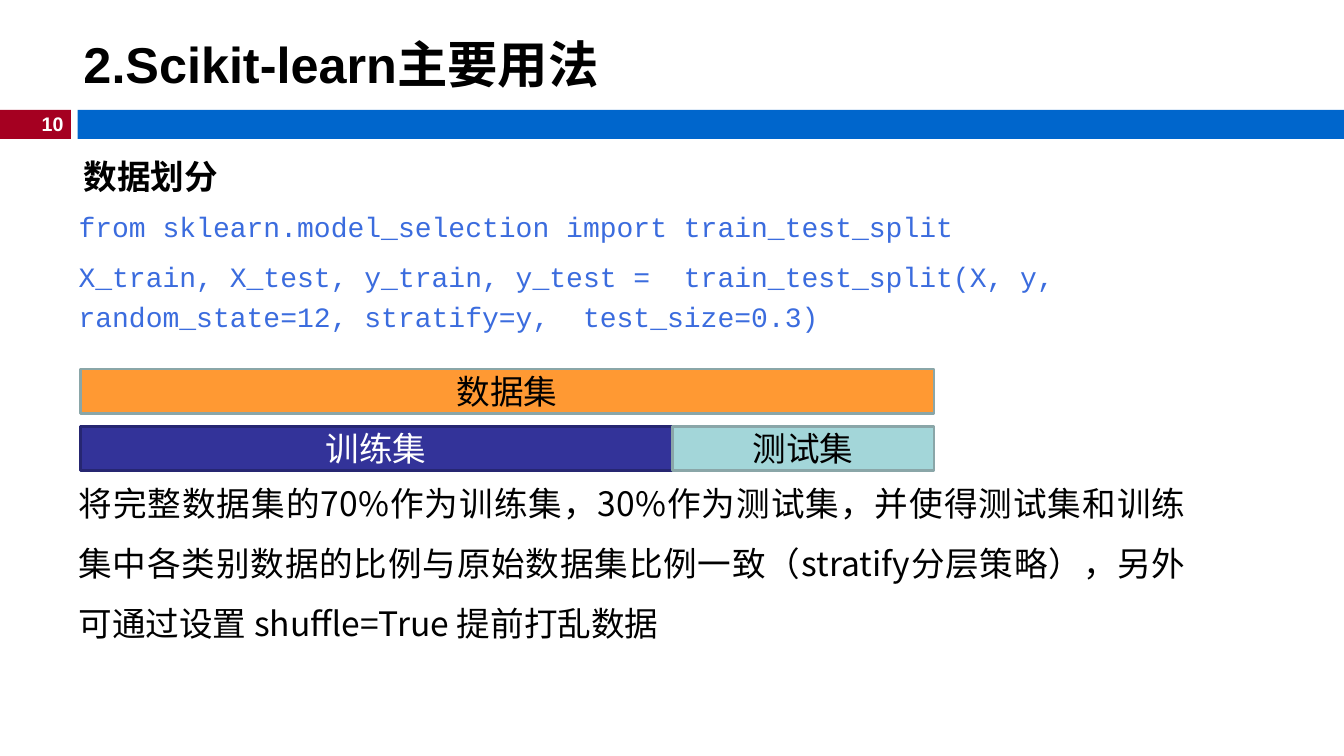
from dataclasses import dataclass

from lxml.etree import SubElement
from pptx import Presentation
from pptx.dml.color import RGBColor
from pptx.enum.shapes import MSO_SHAPE
from pptx.enum.text import MSO_ANCHOR, PP_ALIGN
from pptx.oxml.ns import qn
from pptx.slide import Slide
from pptx.text.text import TextFrame
from pptx.util import Cm, Pt

BLACK = RGBColor(0x00, 0x00, 0x00)
WHITE = RGBColor(0xFF, 0xFF, 0xFF)
RED = RGBColor(0xA5, 0x00, 0x21)
BLUE = RGBColor(0x00, 0x66, 0xCC)
CODE_BLUE = RGBColor(0x3B, 0x6C, 0xDE)
NAVY = RGBColor(0x33, 0x33, 0x99)
DARK_NAVY = RGBColor(0x26, 0x26, 0x71)
TEAL = RGBColor(0xA3, 0xD6, 0xD9)
GREY_TEAL = RGBColor(0x8A, 0xA6, 0xA8)
ORANGE = RGBColor(0xFF, 0x99, 0x33)

SANS = "Noto Sans CJK SC"
HEADING_SANS = "Noto Sans CJK TC"


@dataclass
class Area:
    left: float
    top: float
    width: float
    height: float

    def lengths(self) -> tuple[Cm, Cm, Cm, Cm]:
        return Cm(self.left), Cm(self.top), Cm(self.width), Cm(self.height)


@dataclass
class Style:
    size: float
    font: str = SANS
    color: RGBColor = BLACK
    bold: bool = False
    align: PP_ALIGN = PP_ALIGN.LEFT
    line_spacing: Pt | None = None
    space_before: Pt | None = None


@dataclass
class Bar:
    area: Area
    fill: RGBColor
    line: RGBColor | None = None
    label: str = ""
    label_color: RGBColor = BLACK


@dataclass
class TextBlock:
    area: Area
    text: str
    style: Style


BAR_LEFT, BAR_HEIGHT = 2.02, 1.12
DATA_TOP, SPLIT_TOP = 9.3, 10.74
TRAIN_WIDTH, TEST_WIDTH = 14.92, 6.6

BARS = [
    Bar(Area(0, 2.77, 1.79, 0.73), RED),
    Bar(Area(1.96, 2.77, 31.91, 0.73), BLUE),
    Bar(Area(BAR_LEFT, SPLIT_TOP, TRAIN_WIDTH, BAR_HEIGHT), NAVY, DARK_NAVY, "训练集", WHITE),
    Bar(Area(BAR_LEFT + TRAIN_WIDTH, SPLIT_TOP, TEST_WIDTH, BAR_HEIGHT), TEAL, GREY_TEAL, "测试集"),
    Bar(Area(BAR_LEFT, DATA_TOP, TRAIN_WIDTH + TEST_WIDTH, BAR_HEIGHT), ORANGE, GREY_TEAL, "数据集"),
]

TEXT_BLOCKS = [
    TextBlock(Area(0.74, 2.82, 0.86, 0.62), "10",
              Style(14, "Arial", WHITE, True, PP_ALIGN.RIGHT)),
    TextBlock(Area(0.61, 3.94, 6.38, 1.3), "数据划分",
              Style(24, HEADING_SANS, bold=True, align=PP_ALIGN.CENTER)),
    TextBlock(Area(1.98, 5.13, 27.9, 3.6),
              "from sklearn.model_selection import train_test_split\n"
              "X_train, X_test, y_train, y_test =  train_test_split(X, y, "
              "random_state=12, stratify=y,  test_size=0.3)",
              Style(20, "Courier New", CODE_BLUE, line_spacing=Pt(28.6), space_before=Pt(6.9))),
    TextBlock(Area(1.98, 11.66, 27.9, 4.6),
              "将完整数据集的70%作为训练集，30%作为测试集，并使得测试集和训练集中各类别数据的比例"
              "与原始数据集比例一致（stratify分层策略），另外可通过设置 shuffle=True 提前打乱数据",
              Style(24, align=PP_ALIGN.JUSTIFY, line_spacing=Pt(43))),
]


def write_text(frame: TextFrame, text: str, style: Style) -> None:
    frame.text = text
    frame.word_wrap = True
    for para in frame.paragraphs:
        para.alignment = style.align
        para.line_spacing = style.line_spacing
        para.space_before = style.space_before
        for span in para.runs:
            span.font.size = Pt(style.size)
            span.font.bold = style.bold
            span.font.color.rgb = style.color
            span.font.name = style.font
            east_asian = style.font if style.font.startswith("Noto") else SANS
            SubElement(span.font._element, qn("a:ea"), typeface=east_asian)


def add_bar(page: Slide, bar: Bar) -> None:
    shape = page.shapes.add_shape(MSO_SHAPE.RECTANGLE, *bar.area.lengths())
    shape.shadow.inherit = False
    shape.fill.solid()
    shape.fill.fore_color.rgb = bar.fill
    if bar.line is None:
        shape.line.fill.background()
    else:
        shape.line.color.rgb = bar.line
        shape.line.width = Pt(2)
    if bar.label:
        frame = shape.text_frame
        frame.margin_top = frame.margin_bottom = 0
        frame.vertical_anchor = MSO_ANCHOR.MIDDLE
        write_text(frame, bar.label, Style(24, color=bar.label_color, align=PP_ALIGN.CENTER))


def add_text_block(page: Slide, block: TextBlock) -> None:
    box = page.shapes.add_textbox(*block.area.lengths())
    frame = box.text_frame
    frame.margin_left = frame.margin_right = frame.margin_top = frame.margin_bottom = 0
    write_text(frame, block.text, block.style)


def set_title(page: Slide, text: str) -> None:
    title = page.shapes.title
    title.left, title.top, title.width, title.height = Area(1.85, 0.66, 32, 1.88).lengths()
    title.text_frame.vertical_anchor = MSO_ANCHOR.MIDDLE
    write_text(title.text_frame, text, Style(36, "Arial", bold=True))


def main() -> None:
    deck = Presentation()
    deck.slide_width, deck.slide_height = Cm(33.87), Cm(19.05)
    page = deck.slides.add_slide(deck.slide_layouts[5])
    set_title(page, "2.Scikit-learn主要用法")
    for bar in BARS:
        add_bar(page, bar)
    for block in TEXT_BLOCKS:
        add_text_block(page, block)
    deck.save("out.pptx")


if __name__ == "__main__":
    main()
